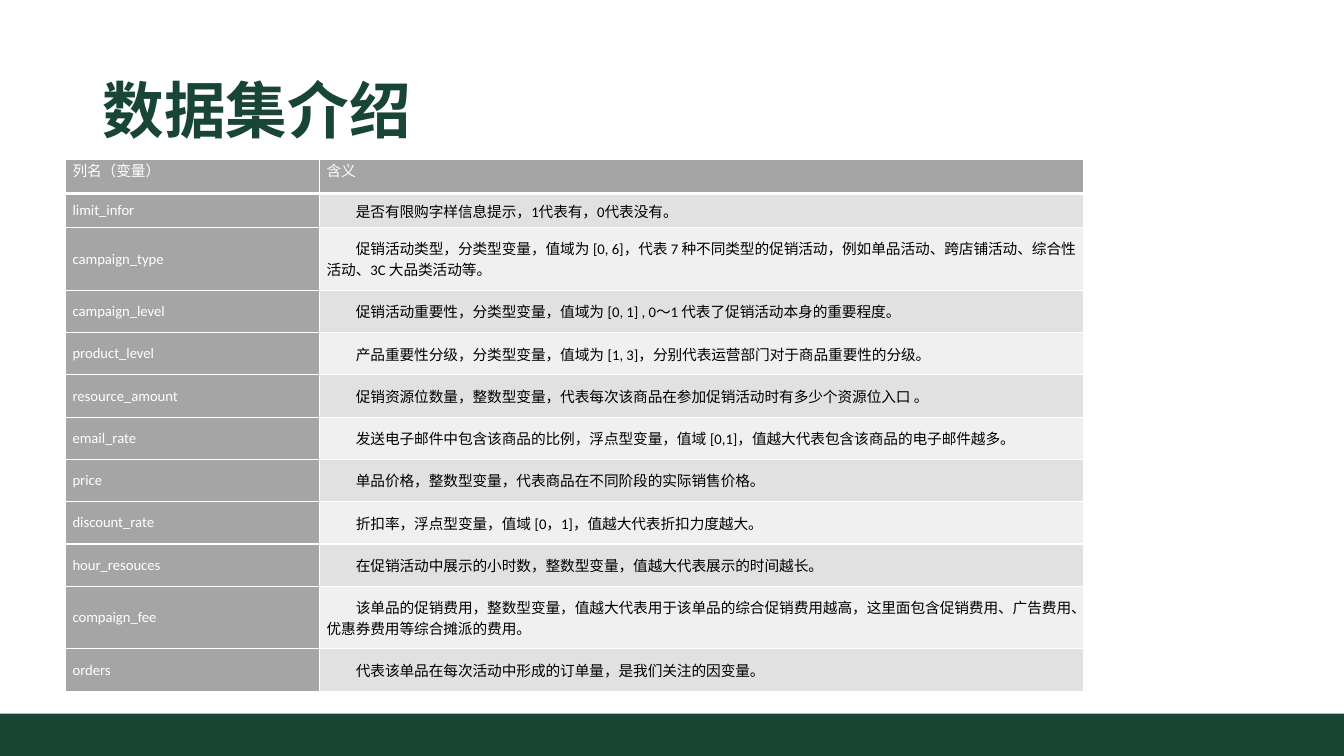
from pptx import Presentation
from pptx import util as u
from pptx.dml.color import RGBColor
from pptx.enum import shapes, text
from pptx.oxml.ns import qn
from lxml import etree

THEME = {
    "green": "184534", "white": "FFFFFF", "black": "000000",
    "head": "A5A5A5", "bands": ("E1E1E1", "F0F0F0"),
    "title_font": "Montserrat", "title_size": 44,
    "body_font": "Calibri", "body_size": 10.5,
}
W, H = 13.33, 7.5
COLUMNS = (2.52, 7.58)
HEAD_ROW, ONE_LINE, TWO_LINES = 0.34, 0.42, 0.62
WRAP_AT = 55
HEADER = ("列名（变量）", "含义")
VARIABLES = (
    ("limit_infor", "是否有限购字样信息提示，1代表有，0代表没有。"),
    ("campaign_type", "促销活动类型，分类型变量，值域为 [0, 6]，代表 7 种不同类型的促销活动，例如单品活动、跨店铺活动、综合性活动、3C 大品类活动等。"),
    ("campaign_level", "促销活动重要性，分类型变量，值域为 [0, 1] , 0～1 代表了促销活动本身的重要程度。"),
    ("product_level", "产品重要性分级，分类型变量，值域为 [1, 3]，分别代表运营部门对于商品重要性的分级。"),
    ("resource_amount", "促销资源位数量，整数型变量，代表每次该商品在参加促销活动时有多少个资源位入口 。"),
    ("email_rate", "发送电子邮件中包含该商品的比例，浮点型变量，值域 [0,1]，值越大代表包含该商品的电子邮件越多。"),
    ("price", "单品价格，整数型变量，代表商品在不同阶段的实际销售价格。"),
    ("discount_rate", "折扣率，浮点型变量，值域 [0，1]，值越大代表折扣力度越大。"),
    ("hour_resouces", "在促销活动中展示的小时数，整数型变量，值越大代表展示的时间越长。"),
    ("compaign_fee", "该单品的促销费用，整数型变量，值越大代表用于该单品的综合促销费用越高，这里面包含促销费用、广告费用、优惠券费用等综合摊派的费用。"),
    ("orders", "代表该单品在每次活动中形成的订单量，是我们关注的因变量。"),
)
JUSTIFIED = {"limit_infor", "email_rate", "price", "discount_rate", "hour_resouces", "orders"}


def add_run(p, words, font, size, color, bold=False):
    r = p.add_run()
    r.text = words
    r.font.name, r.font.size, r.font.bold = font, u.Pt(size), bold
    r.font.color.rgb = RGBColor.from_string(color)


def set_borders(cell, bottom):
    tc_pr = cell._tc.get_or_add_tcPr()
    for i, (side, width) in enumerate((("L", 1), ("R", 1), ("T", 1), ("B", bottom))):
        ln = etree.Element(qn(f"a:ln{side}"), w=str(u.Pt(width)))
        fill = etree.SubElement(ln, qn("a:solidFill"))
        etree.SubElement(fill, qn("a:srgbClr"), val=THEME["white"])
        tc_pr.insert(i, ln)


prs = Presentation()
prs.slide_width, prs.slide_height = u.Inches(W), u.Inches(H)
s = prs.slides.add_slide(prs.slide_layouts[6])

# Footer band
band_top = H * 0.944
sp = s.shapes.add_shape(shapes.MSO_SHAPE.RECTANGLE, 0, u.Inches(band_top),
                        prs.slide_width, u.Inches(H - band_top))
sp.shadow.inherit = False
sp.fill.solid()
sp.fill.fore_color.rgb = RGBColor.from_string(THEME["green"])
sp.line.fill.background()

# Title
title = s.shapes.add_textbox(u.Inches(0.92), u.Inches(0.4), u.Inches(11.5), u.Inches(1.45))
tf = title.text_frame
tf.word_wrap = True
tf.vertical_anchor = text.MSO_ANCHOR.MIDDLE
p = tf.paragraphs[0]
p.line_spacing = 0.9
add_run(p, "数据集介绍", THEME["title_font"], THEME["title_size"], THEME["green"], True)

# Table grid
heights = [HEAD_ROW, HEAD_ROW] + [TWO_LINES if len(meaning) > WRAP_AT else ONE_LINE
                                  for _, meaning in VARIABLES[1:]]
table = s.shapes.add_table(len(heights), len(COLUMNS), u.Inches(0.65), u.Inches(1.58),
                           u.Inches(sum(COLUMNS)), u.Inches(sum(heights))).table
table.first_row = table.horz_banding = False
for column, width in zip(table.columns, COLUMNS):
    column.width = u.Inches(width)
for row, height in zip(table.rows, heights):
    row.height = u.Inches(height)

# Table cells
for i, entry in enumerate((HEADER,) + VARIABLES):
    for j, words in enumerate(entry):
        is_meaning = i > 0 and j == 1
        cell = table.cell(i, j)
        cell.margin_left = cell.margin_right = u.Inches(0.07)
        cell.margin_top = cell.margin_bottom = 0
        cell.vertical_anchor = text.MSO_ANCHOR.MIDDLE if i else text.MSO_ANCHOR.TOP
        cell.fill.solid()
        cell.fill.fore_color.rgb = RGBColor.from_string(
            THEME["bands"][(i - 1) % 2] if is_meaning else THEME["head"])
        set_borders(cell, 1 if i else 3)
        p = cell.text_frame.paragraphs[0]
        p.space_after = u.Pt(6 if is_meaning else 4)
        if is_meaning:
            p._p.get_or_add_pPr().set("indent", str(u.Inches(0.29)))
            if entry[0] in JUSTIFIED:
                p.alignment = text.PP_ALIGN.JUSTIFY
        add_run(p, words, THEME["body_font"], THEME["body_size"],
                THEME["black"] if is_meaning else THEME["white"])

prs.save("out.pptx")
